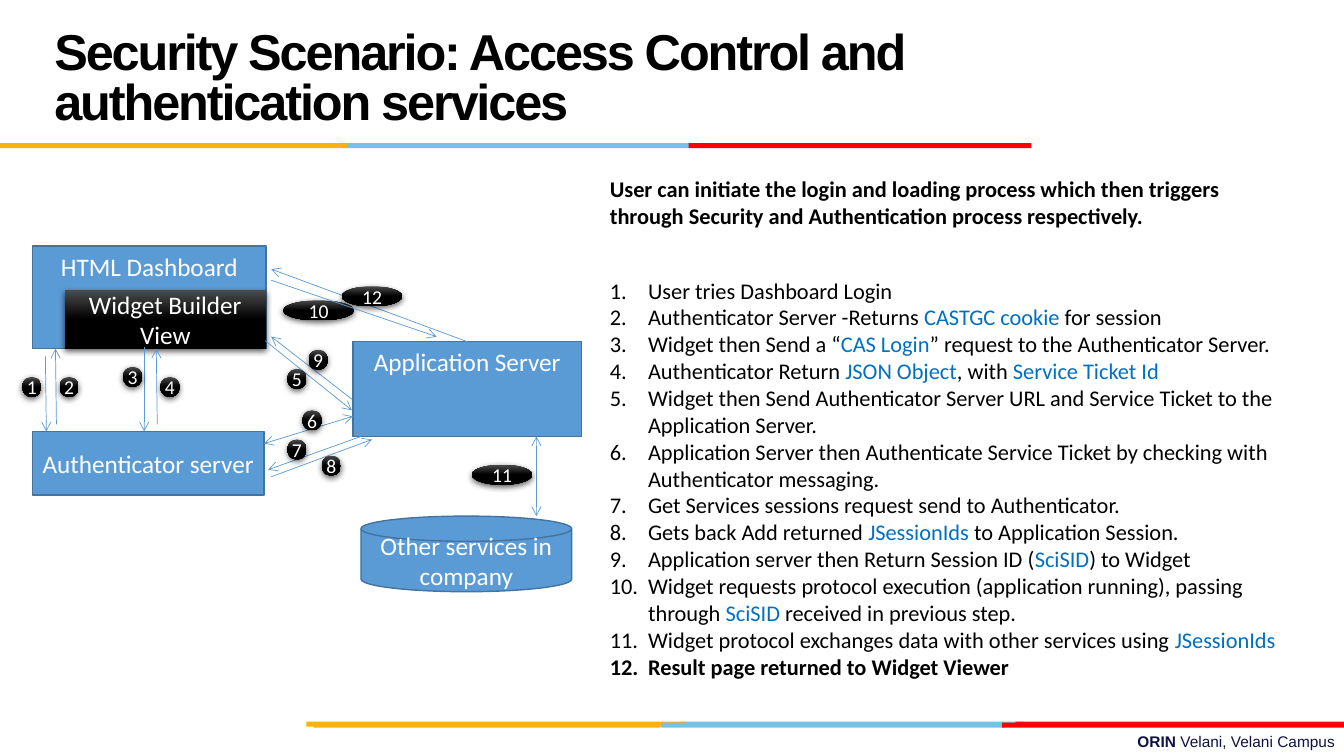
from dataclasses import dataclass

from lxml.etree import SubElement
from pptx import Presentation
from pptx.dml.color import RGBColor
from pptx.enum.shapes import MSO_CONNECTOR as Connector, MSO_SHAPE as Shape
from pptx.enum.text import MSO_ANCHOR as Anchor, PP_ALIGN as Align
from pptx.oxml.ns import qn
from pptx.util import Inches, Pt


@dataclass(frozen=True)
class Theme:
    heading_font: str = "Arial"
    body_font: str = "Calibri"
    black: str = "000000"
    charcoal: str = "4B4B4B"
    white: str = "FFFFFF"
    navy: str = "101141"
    accent: str = "0070C0"
    box: str = "5B9BD5"
    outline: str = "43739E"
    orange: str = "FCB017"
    sky: str = "76C2E5"
    red: str = "FF0000"
    crimson: str = "E31C24"
    title_size: float = 36
    label_size: float = 18
    body_size: float = 16
    badge_size: float = 14
    footer_size: float = 11


THEME = Theme()


def rgb(value):
    return RGBColor.from_string(value)


def write_text(paragraph, text, font=THEME.body_font, size=THEME.body_size,
               color=THEME.black, bold=False, align=None, spacing=None):
    if align is not None:
        paragraph.alignment = align
    run = paragraph.add_run()
    run.text = text
    run.font.name = font
    run.font.size = Pt(size)
    run.font.bold = bold
    run.font.color.rgb = rgb(color)
    if spacing is not None:
        run.font._element.set("spc", str(int(spacing * 100)))


class SlideBuilder:
    def __init__(self, slide, theme):
        self.shapes = slide.shapes
        self.theme = theme

    def text_box(self, place, anchor=Anchor.TOP):
        frame = self.shapes.add_textbox(*map(Inches, place)).text_frame
        frame.word_wrap = True
        frame.vertical_anchor = anchor
        return frame

    def shape(self, kind, place):
        shape = self.shapes.add_shape(kind, *map(Inches, place))
        shape.shadow.inherit = False
        return shape

    def bar(self, left, top, width, color):
        bar = self.shape(Shape.RECTANGLE, (left, top, width, 0.05))
        bar.fill.solid()
        bar.fill.fore_color.rgb = rgb(color)
        bar.line.fill.background()

    def label(self, shape, text, size, anchor):
        shape.text_frame.word_wrap = True
        shape.text_frame.vertical_anchor = anchor
        write_text(shape.text_frame.paragraphs[0], text, size=size,
                   color=self.theme.white, align=Align.CENTER)

    def node(self, text, place, kind=Shape.RECTANGLE, anchor=Anchor.MIDDLE):
        node = self.shape(kind, place)
        node.fill.solid()
        node.fill.fore_color.rgb = rgb(self.theme.box)
        node.line.color.rgb = rgb(self.theme.outline)
        node.line.width = Pt(1)
        self.label(node, text, self.theme.label_size, anchor)
        return node

    def dark_node(self, text, place, kind, size):
        node = self.shape(kind, place)
        node.fill.gradient()
        node.fill.gradient_angle = 270
        shades = ((0, self.theme.charcoal), (0.5, self.theme.black))
        for stop, (position, color) in zip(node.fill.gradient_stops, shades):
            stop.position = position
            stop.color.rgb = rgb(color)
        node.line.fill.background()
        effects = node._element.spPr.find(qn("a:effectLst"))
        shadow = SubElement(effects, qn("a:outerShdw"), blurRad=str(Pt(4.5)),
                            dist=str(Pt(1.5)), dir="5400000", rotWithShape="0")
        tint = SubElement(shadow, qn("a:srgbClr"), val=self.theme.black)
        SubElement(tint, qn("a:alpha"), val="63000")
        self.label(node, text, size, Anchor.MIDDLE)
        return node

    def badge(self, number, left, top, width=0.19):
        badge = self.dark_node(str(number), (left, top, width, 0.2),
                               Shape.OVAL, self.theme.badge_size)
        frame = badge.text_frame
        frame.margin_left = frame.margin_right = 0
        frame.margin_top = frame.margin_bottom = 0

    def arrow(self, start, end, both=False):
        arrow = self.shapes.add_connector(Connector.STRAIGHT,
                                          *map(Inches, start + end))
        arrow.line.color.rgb = rgb(self.theme.box)
        arrow.line.width = Pt(0.5)
        outline = arrow.line._get_or_add_ln()
        for tag in ("a:headEnd", "a:tailEnd") if both else ("a:tailEnd",):
            SubElement(outline, qn(tag), type="arrow")
        SubElement(arrow._element.spPr, qn("a:effectLst"))
        return arrow

    def step(self, frame, text, bold=False, gap=0):
        paragraph = frame.add_paragraph()
        paragraph.space_before = Pt(gap)
        properties = paragraph._p.get_or_add_pPr()
        properties.set("marL", str(Inches(0.38)))
        properties.set("indent", str(-Inches(0.38)))
        SubElement(properties, qn("a:buFont"), typeface="+mj-lt")
        SubElement(properties, qn("a:buAutoNum"), type="arabicPeriod")
        for index, part in enumerate(text.split("|")):
            if part:
                color = self.theme.accent if index % 2 else self.theme.black
                write_text(paragraph, part, color=color, bold=bold)


STEPS = (
    "User tries Dashboard Login",
    "Authenticator Server -Returns |CASTGC cookie| for session",
    "Widget then Send a “|CAS Login|” request to the Authenticator Server.",
    "Authenticator Return |JSON Object|, with |Service Ticket Id|",
    "Widget then Send Authenticator Server URL and Service Ticket to the Application Server.",
    "Application Server then Authenticate Service Ticket by checking with Authenticator messaging.",
    "Get Services sessions request send to Authenticator.",
    "Gets back Add returned |JSessionIds| to Application Session.",
    "Application server then Return Session ID (|SciSID|) to Widget",
    "Widget requests protocol execution (application running), passing through |SciSID| received in previous step.",
    "Widget protocol exchanges data with other services using |JSessionIds|",
    "Result page returned to Widget Viewer",
)
ARROWS = (
    ((0.45, 3.53), (0.46, 4.28)),
    ((0.56, 4.21), (0.55, 3.46)),
    ((1.43, 3.44), (1.43, 4.28)),
    ((1.56, 4.21), (1.55, 3.46)),
    ((2.63, 3.38), (3.49, 4.07)),
    ((3.5, 4.13), (2.62, 4.4), True),
    ((3.49, 3.96), (2.69, 3.34)),
    ((3.58, 4.33), (2.66, 4.66)),
    ((2.69, 4.73), (3.69, 4.36)),
    ((5.32, 5.12), (5.32, 4.33), True),
)
BADGES = (
    (0.22, 3.74), (0.59, 3.74), (1.22, 3.64), (1.59, 3.74),
    (2.85, 3.66), (3, 4.07), (2.85, 4.36), (3.19, 4.52),
    (3.06, 3.47), (2.81, 2.98, 0.7), (4.68, 4.61, 0.6), (3.39, 2.84, 0.6),
)
BARS = (
    (6.75, 7.16, 3.4, THEME.sky), (10.07, 7.16, 3.26, THEME.crimson),
    (3.04, 7.16, 3.76, THEME.orange), (6.56, 7.17, 3.4, THEME.sky),
    (3.11, 7.17, 3.44, THEME.orange), (9.94, 7.17, 3.4, THEME.red),
    (3.44, 1.42, 3.4, THEME.sky), (0, 1.42, 3.44, THEME.orange),
    (6.83, 1.42, 3.4, THEME.red),
)


def main():
    deck = Presentation()
    deck.slide_width, deck.slide_height = Inches(13.33), Inches(7.5)
    builder = SlideBuilder(deck.slides.add_slide(deck.slide_layouts[6]), THEME)

    footer = builder.text_box((4.78, 7.21, 8.56, 0.29)).paragraphs[0]
    for text, bold in (("ORIN ", True), ("Velani, Velani Campus", False)):
        write_text(footer, text, font=THEME.heading_font, size=THEME.footer_size,
                   color=THEME.navy, bold=bold, align=Align.RIGHT)
    for bar in BARS:
        builder.bar(*bar)

    title = builder.text_box((0.44, 0.17, 9.22, 1.25), Anchor.MIDDLE).paragraphs[0]
    title.line_spacing = Pt(36)
    write_text(title, "Security Scenario: Access Control and authentication services",
               font=THEME.heading_font, size=THEME.title_size, bold=True, spacing=-1.5)

    builder.node("HTML Dashboard", (0.32, 2.44, 2.32, 1.02), anchor=Anchor.TOP)
    builder.dark_node("Widget Builder View", (0.64, 2.88, 2, 0.58),
                      Shape.RECTANGLE, THEME.label_size)
    builder.node("Authenticator server", (0.32, 4.28, 2.3, 0.63))
    application = builder.node("Application Server", (3.5, 3.39, 2.27, 0.94),
                               anchor=Anchor.TOP)
    builder.node("Other services in company", (3.58, 5.12, 2.09, 0.75),
                 Shape.FLOWCHART_MAGNETIC_DISK)

    process = builder.text_box((5.95, 1.69, 7, 5.15))
    write_text(process.paragraphs[0],
               "User can initiate the login and loading process which then triggers "
               "through Security and Authentication process respectively.", bold=True)
    for step in STEPS:
        builder.step(process, step, bold=step == STEPS[-1],
                     gap=34 if step == STEPS[0] else 0)

    for arrow in ARROWS:
        builder.arrow(*arrow)
    result_return = builder.arrow((4.63, 3.39), (2.69, 2.67))
    result_return.begin_connect(application, 0)
    for number, place in enumerate(BADGES, start=1):
        builder.badge(number, *place)
    builder.arrow((2.69, 2.78), (4.33, 3.34))

    deck.save("out.pptx")


if __name__ == "__main__":
    main()
